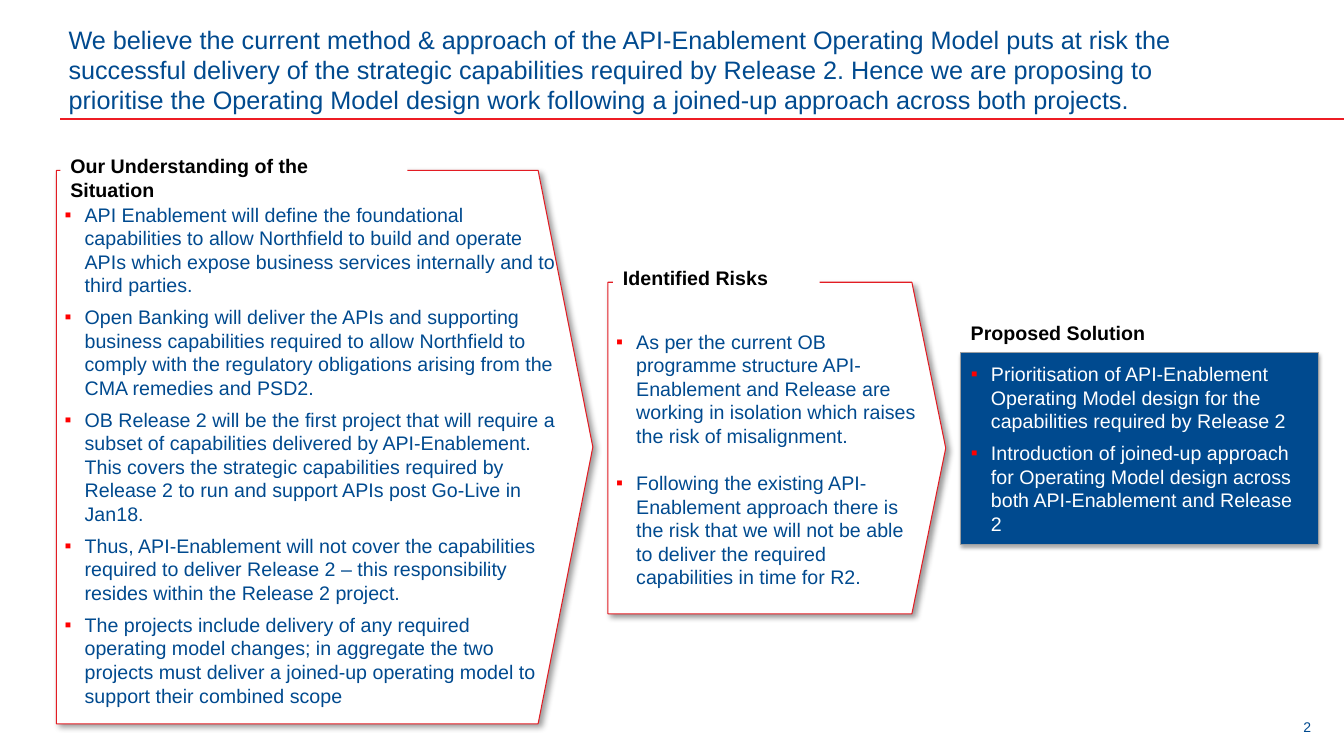
from dataclasses import dataclass
from typing import Optional

from lxml import etree
from pptx import Presentation
from pptx.dml.color import RGBColor
from pptx.enum.shapes import MSO_CONNECTOR, MSO_SHAPE
from pptx.enum.text import MSO_ANCHOR, MSO_AUTO_SIZE, PP_ALIGN
from pptx.oxml.ns import qn
from pptx.util import Inches, Pt

RECT, PENTAGON = MSO_SHAPE.RECTANGLE, MSO_SHAPE.PENTAGON
TOP, MIDDLE = MSO_ANCHOR.TOP, MSO_ANCHOR.MIDDLE
LEFT, CENTER = PP_ALIGN.LEFT, PP_ALIGN.CENTER
FIT_SHAPE = MSO_AUTO_SIZE.SHAPE_TO_FIT_TEXT
STRAIGHT = MSO_CONNECTOR.STRAIGHT


@dataclass(frozen=True)
class Theme:
    font: str = "Arial"
    blue: str = "004A8F"
    white: str = "FFFFFF"
    black: str = "000000"
    rule: str = "ED1C24"
    outline: str = "E31C23"
    gray: str = "9C9FA2"
    bullet: str = "FF0000"
    title_size: int = 18
    body_size: int = 14
    number_size: int = 10


@dataclass(frozen=True)
class Box:
    left: float
    top: float
    width: float
    height: float

    def emu(self) -> tuple:
        return tuple(Inches(v) for v in (self.left, self.top, self.width, self.height))


@dataclass(frozen=True)
class Shadow:
    alpha: int
    blur: float
    dist: float
    angle: int


@dataclass(frozen=True)
class Panel:
    box: Box
    heading: str
    heading_box: Box
    bullets: tuple
    shape: int
    fill: str
    line: str
    color: str
    shadow: Shadow
    margins: tuple  # left, top, right, bottom
    anchor: int
    gap: float
    heading_wrap: bool = True


T = Theme()
ARROW_SHADOW = Shadow(40, 4, 3, 45)
TITLE = ("We believe the current method & approach of the API-Enablement Operating Model "
         "puts at risk the successful delivery of the strategic capabilities required by "
         "Release 2. Hence we are proposing to prioritise the Operating Model design work "
         "following a joined-up approach across both projects.")

PANELS = (
    Panel(Box(0.56, 1.69, 5.32, 5.49), "Our Understanding of the Situation",
          Box(0.6, 1.48, 3.44, 0.31),
          ("API Enablement will define the foundational capabilities to allow Northfield to "
           "build and operate APIs which expose business services internally and to third "
           "parties.",
           "Open Banking will deliver the APIs and supporting business capabilities required "
           "to allow Northfield to comply with the regulatory obligations arising from the "
           "CMA remedies and PSD2.",
           "OB Release 2 will be the first project that will require a subset of capabilities "
           "delivered by API-Enablement. This covers the strategic capabilities required by "
           "Release 2 to run and support APIs post Go-Live in Jan18.",
           "Thus, API-Enablement will not cover the capabilities required to deliver Release 2 "
           "– this responsibility resides within the Release 2 project.",
           "The projects include delivery of any required operating model changes; in "
           "aggregate the two projects must deliver a joined-up operating model to support "
           "their combined scope"),
          PENTAGON, T.white, T.outline, T.blue, ARROW_SHADOW,
          (0.08, 0.32, 0.08, 0), TOP, 6),
    Panel(Box(6.03, 2.8, 3.35, 3.29), "Identified Risks", Box(6.08, 2.59, 2.05, 0.34),
          ("As per the current OB programme structure API-Enablement and Release are working "
           "in isolation which raises the risk of misalignment.",
           "Following the existing API-Enablement approach there is the risk that we will not "
           "be able to deliver the required capabilities in time for R2."),
          PENTAGON, T.white, T.outline, T.blue, ARROW_SHADOW,
          (0.08, 0.47, 0.08, 0), TOP, 17),
    Panel(Box(9.53, 3.5, 3.55, 1.9), "Proposed Solution", Box(9.53, 3.13, 1.94, 0.31),
          ("Prioritisation of API-Enablement Operating Model design for the capabilities "
           "required by Release 2",
           "Introduction of joined-up approach for Operating Model design across both "
           "API-Enablement and Release 2"),
          RECT, T.blue, T.gray, T.white, Shadow(35, 3.1, 1.8, 90),
          (0.1, 0.05, 0.1, 0.05), MIDDLE, 6, heading_wrap=False),
)


def rgb(color: str) -> RGBColor:
    return RGBColor.from_string(color)


def set_frame(tf, margins: tuple, anchor: int, wrap: bool = True) -> None:
    sides = ("margin_left", "margin_top", "margin_right", "margin_bottom")
    formats = dict(zip(sides, map(Inches, margins)))
    formats.update(vertical_anchor=anchor, word_wrap=wrap)
    for name, value in formats.items():
        setattr(tf, name, value)


def write(p, text: str, size: int, color: str, bold: bool = False, align: int = LEFT) -> None:
    p.alignment = align
    r = p.add_run()
    r.text = text
    for name, value in {"name": T.font, "size": Pt(size), "bold": bold}.items():
        setattr(r.font, name, value)
    r.font.color.rgb = rgb(color)


def add_bullet(p) -> None:
    pPr = p._p.get_or_add_pPr()
    pPr.set("marL", str(Inches(0.2)))
    pPr.set("indent", str(-Inches(0.2)))
    clr = etree.SubElement(pPr, qn("a:buClr"))
    etree.SubElement(clr, qn("a:srgbClr"), val=T.bullet)
    etree.SubElement(pPr, qn("a:buFont"), typeface=T.font)
    etree.SubElement(pPr, qn("a:buChar"), char="▪")


def add_shadow(s, shadow: Shadow) -> None:
    effects = s._element.spPr.find(qn("a:effectLst"))
    outer = etree.SubElement(effects, qn("a:outerShdw"), blurRad=str(Pt(shadow.blur)),
                             dist=str(Pt(shadow.dist)), dir=str(shadow.angle * 60000),
                             algn="tl", rotWithShape="0")
    clr = etree.SubElement(outer, qn("a:srgbClr"), val=T.black)
    etree.SubElement(clr, qn("a:alpha"), val=str(shadow.alpha * 1000))


def add_box(slide, kind: int, box: Box, fill: str, line: Optional[str] = None):
    s = slide.shapes.add_shape(kind, *box.emu())
    s.shadow.inherit = False
    s.fill.solid()
    s.fill.fore_color.rgb = rgb(fill)
    if line:
        s.line.color.rgb = rgb(line)
        s.line.width = Pt(0.75)
    else:
        s.line.fill.background()
    return s


def add_text(slide, box: Box, text: str, size: int, margins: tuple, align: int = LEFT) -> None:
    tf = slide.shapes.add_textbox(*box.emu()).text_frame
    set_frame(tf, margins, MIDDLE)
    write(tf.paragraphs[0], text, size, T.blue, align=align)


def add_panel(slide, panel: Panel) -> None:
    s = add_box(slide, panel.shape, panel.box, panel.fill, panel.line)
    if panel.shape == PENTAGON:
        s.adjustments[0] = 0.102
    add_shadow(s, panel.shadow)
    tf = s.text_frame
    set_frame(tf, panel.margins, panel.anchor)
    for i, text in enumerate(panel.bullets):
        p = tf.add_paragraph() if i else tf.paragraphs[0]
        write(p, text, T.body_size, panel.color)
        p.space_after = Pt(panel.gap)
        add_bullet(p)

    # Heading covers part of the panel's top edge
    tf = add_box(slide, RECT, panel.heading_box, T.white).text_frame
    set_frame(tf, (0.1, 0.05, 0.1, 0.05), TOP, panel.heading_wrap)
    tf.auto_size = FIT_SHAPE
    write(tf.paragraphs[0], panel.heading, T.body_size, T.black, bold=True)


def main() -> None:
    prs = Presentation()
    prs.slide_width, prs.slide_height = Inches(13.33), Inches(7.5)
    slide = prs.slides.add_slide(prs.slide_layouts[6])

    # Rule under the title
    rule = slide.shapes.add_connector(STRAIGHT, Inches(0.6), Inches(1.18),
                                      Inches(13.33), Inches(1.18))
    rule.line.color.rgb = rgb(T.rule)
    rule.line.width = Pt(2)
    etree.SubElement(rule._element.spPr, qn("a:effectLst"))

    # Title and page number
    add_text(slide, Box(0.56, 0.21, 11.95, 0.96), TITLE, T.title_size, (0.12, 0.05, 0.12, 0.05))
    add_text(slide, Box(12.7, 6.93, 0.53, 0.57), "2", T.number_size,
             (0.1, 0.05, 0.1, 0.05), CENTER)

    # Situation, risks and solution
    for panel in PANELS:
        add_panel(slide, panel)
    prs.save("out.pptx")


if __name__ == "__main__":
    main()
